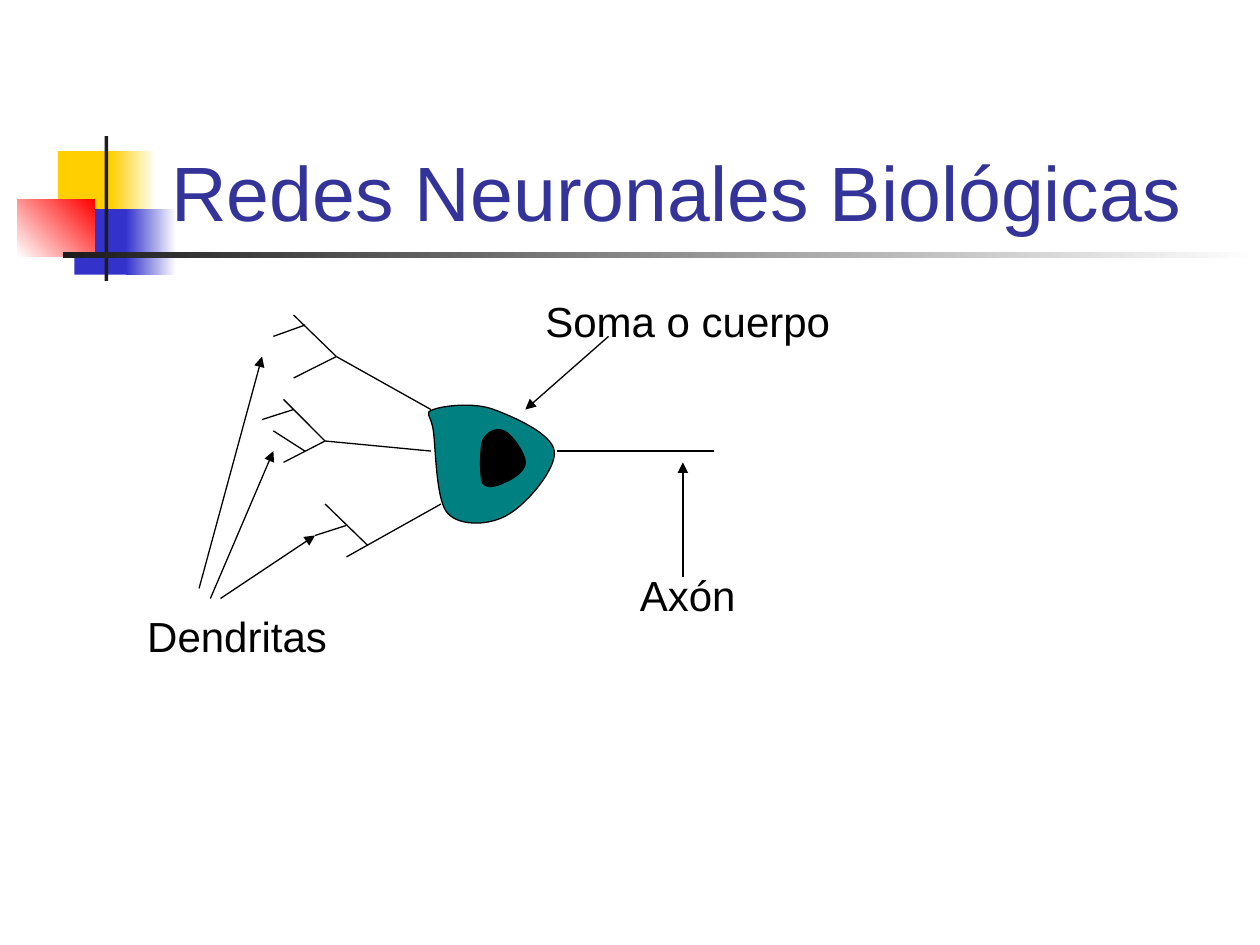
from lxml import etree
from pptx import Presentation
from pptx.dml.color import RGBColor
from pptx.enum.shapes import MSO_CONNECTOR as CONN, MSO_SHAPE as SHAPE
from pptx.enum.text import MSO_ANCHOR as ANCHOR, MSO_AUTO_SIZE as AUTO
from pptx.oxml.ns import qn
from pptx.util import Inches, Pt

FONT, BLACK = "Arial", "000000"

# Decoration: left, top, width, height, colours (two make a gradient), angle
DECOR = [
    (0.46, 1.2, 0.48, 0.52, ["FFCF01"], 0),
    (0.88, 1.2, 0.36, 0.52, ["FFCF01", "FFFFFF"], 0),
    (0.59, 1.66, 0.46, 0.52, ["3333CC"], 0),
    (1, 1.66, 0.4, 0.52, ["3333CC", "FFFFFF"], 0),
    (0.14, 1.58, 0.61, 0.46, ["FFFFFF", "FF0000"], 45),
    (0.83, 1.08, 0.03, 1.15, ["1C1C1C"], 0),
    (0.5, 2, 9.5, 0.05, ["1C1C1C", "FFFFFF"], 0),
]

TITLE = ("Redes Neuronales Biológicas", 1.26, 0.68, 8.52, 1.25)
LABELS = [
    ("Axón", 4.98, 4.47, 0.96, 0.5),
    ("Dendritas", 1.07, 4.8, 1.63, 0.5),
    ("Soma o cuerpo", 4.23, 2.3, 2.46, 0.5),
]

# Closed outlines: a start point, then control, control, end of each curve
SOMA = [
    (3.44, 3.42),
    (3.42, 3.28), (3.36, 3.28), (3.44, 3.25),
    (3.52, 3.22), (3.76, 3.19), (3.92, 3.25),
    (4.08, 3.31), (4.38, 3.44), (4.4, 3.58),
    (4.42, 3.72), (4.18, 4), (4.04, 4.08),
    (3.9, 4.17), (3.66, 4.18), (3.56, 4.08),
    (3.46, 3.99), (3.46, 3.56), (3.44, 3.42),
]
NUCLEUS = [
    (3.83, 3.5),
    (3.86, 3.43), (3.94, 3.39), (4, 3.42),
    (4.06, 3.44), (4.17, 3.6), (4.17, 3.67),
    (4.17, 3.74), (4.06, 3.81), (4, 3.83),
    (3.94, 3.86), (3.86, 3.88), (3.83, 3.83),
    (3.81, 3.79), (3.81, 3.57), (3.83, 3.5),
]

# Lines: from x, from y, to x, to y
AXON = [(4.42, 3.58, 5.67, 3.58)]
DENDRITES = [
    (3.42, 3.25, 2.67, 2.83), (2.67, 2.83, 2.33, 3),
    (2.67, 2.83, 2.33, 2.5), (2.42, 2.58, 2.17, 2.67),
    (3.42, 3.58, 2.58, 3.5), (2.58, 3.5, 2.25, 3.67),
    (2.58, 3.5, 2.25, 3.17), (2.33, 3.25, 2.08, 3.33),
    (2.42, 3.58, 2.17, 3.42),
    (3.5, 4, 2.75, 4.42), (2.92, 4.33, 2.58, 4), (2.75, 4.17, 2.5, 4.25),
]
POINTERS = [
    (1.67, 4.75, 2.17, 3.58), (1.75, 4.75, 2.5, 4.25),
    (1.58, 4.67, 2.08, 2.83),
    (4.83, 2.67, 4.17, 3.25), (5.42, 4.58, 5.42, 3.67),
]


def rgb(value):
    return RGBColor.from_string(value)


def add_block(s, x, y, w, h, colors, angle):
    sp = s.shapes.add_shape(SHAPE.RECTANGLE, *map(Inches, (x, y, w, h)))
    sp.shadow.inherit = False
    sp.line.fill.background()
    if len(colors) == 1:
        sp.fill.solid()
        sp.fill.fore_color.rgb = rgb(colors[0])
    else:
        sp.fill.gradient()
        sp.fill.gradient_angle = angle
        for stop, color in zip(sp.fill.gradient_stops, colors):
            stop.color.rgb = rgb(color)


def add_text(s, text, x, y, w, h, size=24, color=BLACK):
    tf = s.shapes.add_textbox(*map(Inches, (x, y, w, h))).text_frame
    p = tf.paragraphs[0]
    p.text = text
    p.font.name, p.font.size = FONT, Pt(size)
    p.font.color.rgb = rgb(color)
    return tf


def add_line(s, x1, y1, x2, y2, arrow=False):
    line = s.shapes.add_connector(CONN.STRAIGHT, *map(Inches, (x1, y1, x2, y2)))
    line.line.color.rgb = rgb(BLACK)
    line.line.width = Pt(0.75)
    if arrow:
        ln = line._element.spPr.find(qn("a:ln"))
        etree.SubElement(ln, qn("a:tailEnd"), type="triangle")
    etree.SubElement(line._element.spPr, qn("a:effectLst"))


def add_blob(s, points, color):
    start, *rest = [tuple(map(Inches, point)) for point in points]
    builder = s.shapes.build_freeform(*start)
    builder.add_line_segments(rest, close=True)
    sp = builder.convert_to_shape()

    # Join each three straight segments into one cubic curve
    segments = list(sp._element.iter(qn("a:lnTo")))
    for i in range(0, len(segments), 3):
        curve = etree.Element(qn("a:cubicBezTo"))
        segments[i].addprevious(curve)
        for segment in segments[i:i + 3]:
            curve.append(segment[0])
            segment.getparent().remove(segment)

    sp.shadow.inherit = False
    sp.fill.solid()
    sp.fill.fore_color.rgb = rgb(color)
    sp.line.color.rgb = rgb(BLACK)
    sp.line.width = Pt(0.75)


def main():
    prs = Presentation()
    prs.slide_width, prs.slide_height = Inches(10), Inches(7.5)
    s = prs.slides.add_slide(prs.slide_layouts[6])

    # Decoration and title
    for block in DECOR:
        add_block(s, *block)
    tf = add_text(s, *TITLE, size=44, color="333399")
    tf.word_wrap, tf.vertical_anchor = True, ANCHOR.BOTTOM

    # Neuron
    add_blob(s, SOMA, "008080")
    for line in AXON + DENDRITES:
        add_line(s, *line)
    add_blob(s, NUCLEUS, BLACK)

    # Labels and their pointers
    for label in LABELS:
        tf = add_text(s, *label)
        tf.word_wrap, tf.auto_size = False, AUTO.SHAPE_TO_FIT_TEXT
    for line in POINTERS:
        add_line(s, *line, arrow=True)

    prs.save("out.pptx")


if __name__ == "__main__":
    main()
